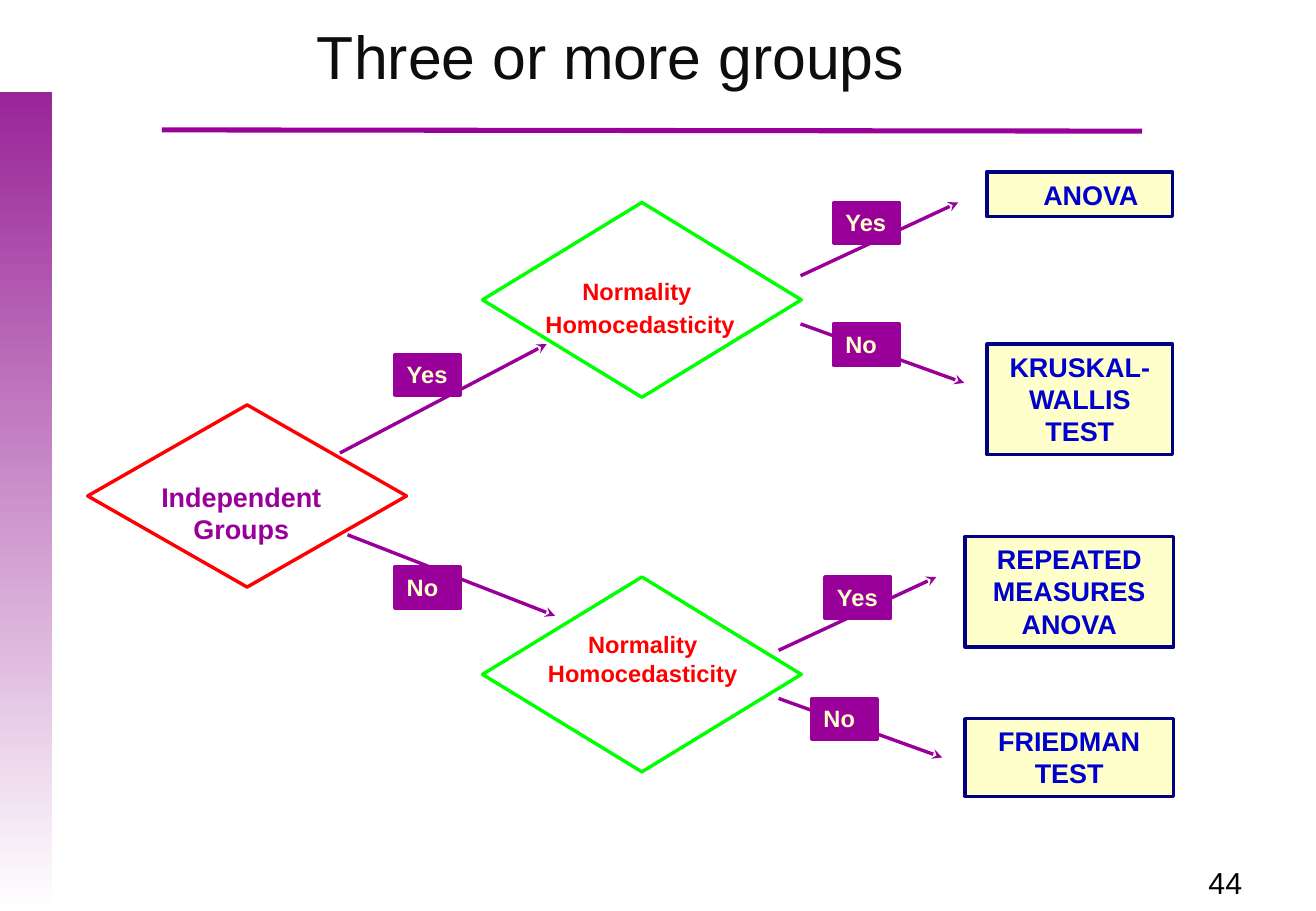
import pptx
import pptx.dml.color
import pptx.enum.shapes
import pptx.enum.text
import pptx.oxml
import pptx.oxml.ns
import pptx.util

Pt = pptx.util.Pt
SHAPE = pptx.enum.shapes.MSO_SHAPE
ALIGN = pptx.enum.text.PP_ALIGN
ANCHOR = pptx.enum.text.MSO_ANCHOR
PURPLE, RED, GREEN, CREAM = "990099", "FF0000", "00FF00", "FFFFCC"


def rgb(value):
    """Turn a hex string into a colour."""
    return pptx.dml.color.RGBColor.from_string(value)


def set_all(obj, values):
    """Set every attribute named in a dict."""
    for name, value in values.items():
        setattr(obj, name, value)


def write(s, paragraphs, size, color, bold=False, align=ALIGN.CENTER,
          anchor=ANCHOR.TOP, gap=0, **margins):
    """Write paragraphs into a shape, with a gap before all but the first."""
    tf = s.text_frame
    set_all(tf, {"word_wrap": True, "vertical_anchor": anchor, **margins})
    for i, text in enumerate(paragraphs):
        p = tf.add_paragraph() if i else tf.paragraphs[0]
        set_all(p, {"alignment": align, "space_before": Pt(gap if i else 0)})
        r = p.add_run()
        r.text = text
        set_all(r.font, {"name": "Arial", "size": Pt(size), "bold": bold})
        r.font.color.rgb = rgb(color)


def add_box(sp, kind, box, fill=None, line=None):
    """Add a preset shape with an optional fill and outline."""
    s = sp.add_shape(kind, *map(Pt, box))
    s.shadow.inherit = False
    if fill:
        s.fill.solid()
        s.fill.fore_color.rgb = rgb(fill)
    else:
        s.fill.background()
    if line:
        s.line.color.rgb = rgb(line)
        s.line.width = Pt(2)
    else:
        s.line.fill.background()
    return s


def add_line(sp, ends, width=2, arrow=True):
    """Add a purple straight line, with a stealth arrowhead if wanted."""
    s = sp.add_connector(pptx.enum.shapes.MSO_CONNECTOR.STRAIGHT, *map(Pt, ends))
    s.line.color.rgb = rgb(PURPLE)
    s.line.width = Pt(width)
    if arrow:
        tail = pptx.oxml.parse_xml(
            f'<a:tailEnd {pptx.oxml.ns.nsdecls("a")} type="stealth"/>')
        s.line._get_or_add_ln().append(tail)
    s._element.spPr.append(
        pptx.oxml.parse_xml(f'<a:effectLst {pptx.oxml.ns.nsdecls("a")}/>'))


def add_branch(sp, answer, ends, left, top):
    """Add an arrow with its answer label on top."""
    add_line(sp, ends)
    s = add_box(sp, SHAPE.RECTANGLE, (left, top, 39, 24.5), PURPLE, PURPLE)
    write(s, [answer], 14, CREAM, True, ALIGN.LEFT, margin_right=0)


def add_test(sp, name, box, indent=0):
    """Add a box with the name of a statistical test."""
    s = add_box(sp, SHAPE.RECTANGLE, box, CREAM, "000080")
    write(s, [name], 16, "0000CC", True, margin_left=Pt(7.2 + indent))


def add_decision(sp, box, line, text_box, paragraphs, size, color):
    """Add a diamond and the question written over it."""
    add_box(sp, SHAPE.FLOWCHART_DECISION, box, line=line)
    s = sp.add_textbox(*map(Pt, text_box))
    write(s, paragraphs, size, color, True, gap=2.8)


def add_frame(sp):
    """Add the side band, the rule, the title and the page number."""
    s = add_box(sp, SHAPE.RECTANGLE, (0, 54.5, 31, 485.5))
    s.fill.gradient()
    s.fill.gradient_angle = 270
    for stop, color, position in zip(s.fill.gradient_stops, ("992598", "FFFFFF"), (0, 1)):
        stop.color.rgb = rgb(color)
        stop.position = position
    add_line(sp, (96, 77, 677, 77.75), 3, False)
    title = add_box(sp, SHAPE.RECTANGLE, (124, 0, 476, 66), "FFFFFF")
    write(title, ["Three or more groups"], 36, "0D0D0D", anchor=ANCHOR.MIDDLE)
    number = sp.add_textbox(*map(Pt, (684.5, 508.5, 83.5, 22)))
    write(number, ["44"], 18, "000000")


def main():
    """Build the decision tree slide."""
    prs = pptx.Presentation()
    set_all(prs, {"slide_width": Pt(780), "slide_height": Pt(540)})
    sp = prs.slides.add_slide(prs.slide_layouts[6]).shapes
    add_frame(sp)

    add_decision(sp, (52, 240, 189, 108), RED, (60.5, 281, 165, 27),
                 ["Independent Groups"], 16, PURPLE)
    add_decision(sp, (286, 120, 189, 115.5), GREEN, (292.5, 160.5, 174, 45),
                 ["Normality ", "Homocedasticity"], 14, RED)
    add_decision(sp, (286, 342, 189, 115.5), GREEN, (294, 370, 174, 41),
                 ["Normality Homocedasticity"], 14, RED)

    for answer, ends, left, top in (
            ("Yes", (201.5, 268.5, 324, 204), 234, 210),
            ("No", (206, 317, 329, 365), 234, 336),
            ("Yes", (474.5, 163.5, 568, 120), 494, 120),
            ("No", (474.5, 192, 571.5, 227), 494, 192),
            ("Yes", (461.5, 385.5, 555, 342), 489, 342),
            ("No", (461.5, 414, 558.5, 449), 481, 414)):
        add_branch(sp, answer, ends, left, top)

    add_test(sp, "ANOVA", (585, 102, 110, 26.5), 13)
    add_test(sp, "KRUSKAL- WALLIS TEST", (585, 204, 110, 65.5))
    add_test(sp, "REPEATED MEASURES ANOVA", (572, 318, 123.5, 65.5))
    add_test(sp, "FRIEDMAN TEST", (572, 426, 123.5, 46))
    prs.save("out.pptx")


if __name__ == "__main__":
    main()
